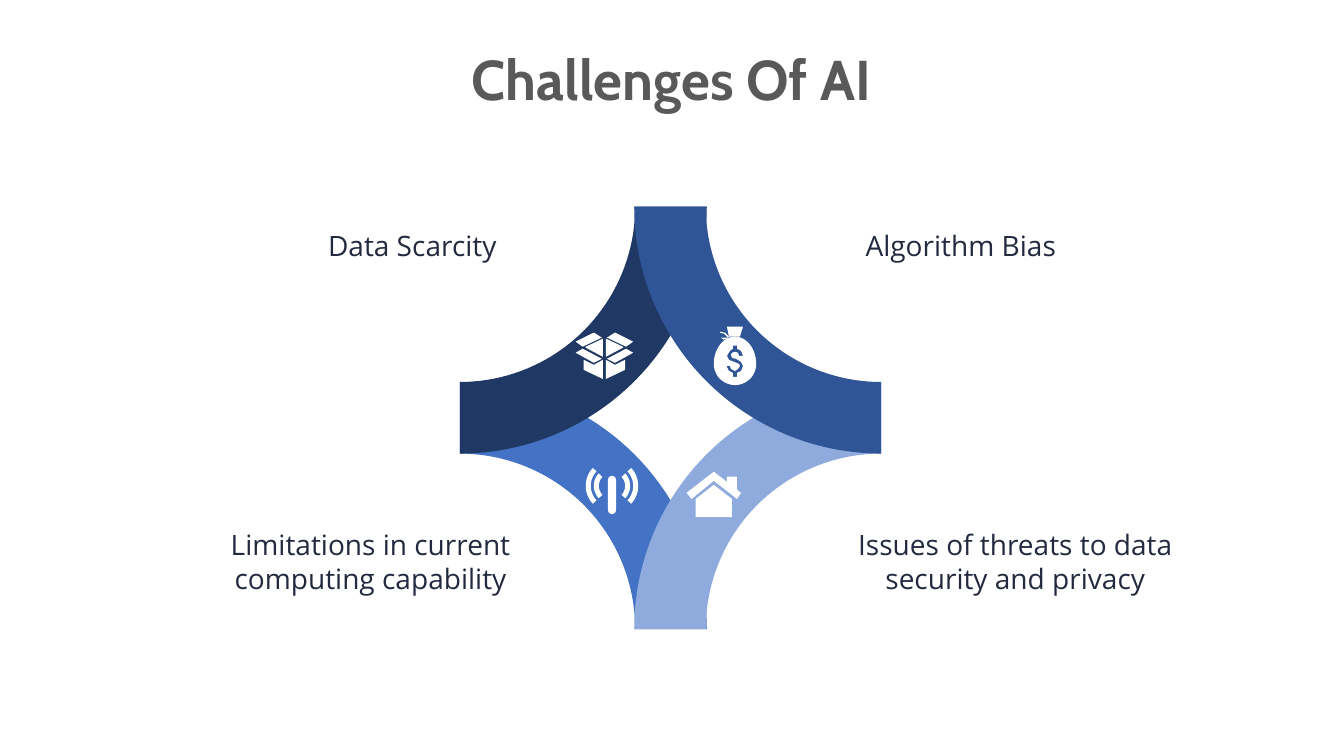
from dataclasses import dataclass
from math import cos, radians, sin

from pptx import Presentation
from pptx import util as u
from pptx.dml.color import RGBColor
from pptx.enum import shapes, text

PX = 9144
Point = tuple[float, float]
Contour = list[Point]


@dataclass(frozen=True)
class Theme:
    title_color: str = "595959"
    label_color: str = "232A3F"
    icon_color: str = "FFFFFF"
    bottom_left: str = "4472C4"
    top_left: str = "203864"
    bottom_right: str = "8FAADC"
    top_right: str = "2F5597"
    title_font: str = "Cabin"
    label_font: str = "Open Sans"
    title_size: int = 40
    label_size: int = 20


@dataclass(frozen=True)
class Arm:
    center: Point
    start: int
    color: str


@dataclass(frozen=True)
class Label:
    words: str
    left: int
    top: int
    width: int


THEME = Theme()
LEFT, RIGHT, TOP, BOTTOM = 456, 874, 205, 624
ARM_INNER, ARM_OUTER = 174, 245

ARMS = [
    Arm((LEFT, BOTTOM), 270, THEME.bottom_left),
    Arm((LEFT, TOP), 0, THEME.top_left),
    Arm((RIGHT, BOTTOM), 180, THEME.bottom_right),
    Arm((RIGHT, TOP), 90, THEME.top_right),
]

LABELS = [
    Label("Data Scarcity", 296, 227, 226),
    Label("Algorithm Bias", 840, 227, 226),
    Label("Limitations in current computing capability", 215, 541, 305),
    Label("Issues of threats to data security and privacy", 831, 541, 352),
]

BOX_MIRROR = 1199
BOX_HALF: list[Contour] = [
    [(601, 336), (601, 354), (618, 345), (618, 344)],
    [(628, 339), (621, 344), (602, 335), (610, 330)],
    [(628, 350), (610, 360), (602, 356), (621, 346)],
    [(601, 357), (601, 376), (620, 367), (620, 357), (610, 362)],
]

BAG_NECK: Contour = [(721, 324), (737, 324), (734, 334), (723, 334)]
BAG_TIE: Contour = [
    (723, 334), (719, 330), (714, 329), (714, 330), (718, 331),
    (722, 335), (715, 335), (718, 337), (721, 336),
]
DOLLAR: Contour = [
    (735, 368), (731, 370), (731, 374), (727, 374), (727, 370), (723, 368),
    (721, 364), (721, 363), (724, 363), (725, 366), (729, 368), (732, 366),
    (734, 363), (733, 361), (728, 359), (723, 357), (721, 353), (724, 348),
    (727, 346), (727, 343), (731, 343), (731, 346), (735, 348), (737, 353),
    (733, 353), (732, 350), (729, 349), (726, 350), (725, 352), (726, 355),
    (730, 356), (735, 359), (737, 363),
]

SIGNAL_CENTER = (607, 482)
WAVES = [(21, 26), (13, 18)]
WAVE_SPREAD = 43

HOUSE: list[Contour] = [
    [(690, 495), (690, 513), (726, 513), (726, 495), (708, 481)],
    [(731, 486), (731, 473), (721, 473), (721, 478), (708, 468),
     (681, 489), (686, 495), (708, 477), (731, 495), (735, 489)],
]


def arc(center: Point, rx: float, ry: float, start: int, end: int) -> Contour:
    steps = 40
    angles = [radians(start + (end - start) * i / steps) for i in range(steps + 1)]
    return [(center[0] + rx * cos(a), center[1] + ry * sin(a)) for a in angles]


def ring(center: Point, inner: int, outer: int, start: int, end: int) -> Contour:
    return arc(center, outer, outer, start, end) + arc(center, inner, inner, end, start)


def paint(shape, color: str) -> None:
    shape.shadow.inherit = False
    shape.fill.solid()
    shape.fill.fore_color.rgb = RGBColor.from_string(color)
    shape.line.fill.background()


def draw_outline(group, contours: list[Contour], color: str) -> None:
    scaled = [[(round(x * PX), round(y * PX)) for x, y in c] for c in contours]
    builder = group.shapes.build_freeform(*scaled[0][0])
    for index, contour in enumerate(scaled):
        if index:
            builder.move_to(*contour[0])
        builder.add_line_segments(contour[1:], close=True)
    paint(builder.convert_to_shape(), color)


def add_text(page, words: str, *, left: int, top: int, width: int, height: int,
             font: str, size: int, color: str, bold: bool = False,
             spacing: float = 1.0) -> None:
    box = page.shapes.add_textbox(*(n * PX for n in (left, top, width, height)))
    frame = box.text_frame
    frame.word_wrap = True
    frame.vertical_anchor = text.MSO_ANCHOR.MIDDLE
    frame.margin_left = frame.margin_right = frame.margin_top = frame.margin_bottom = 0
    para = frame.paragraphs[0]
    para.alignment = text.PP_ALIGN.CENTER
    para.line_spacing = spacing
    span = para.add_run()
    span.text = words
    span.font.name = font
    span.font.size = u.Pt(size)
    span.font.bold = bold
    span.font.color.rgb = RGBColor.from_string(color)


def draw_icons(group) -> None:
    mirrored = [[(BOX_MIRROR - x, y) for x, y in c] for c in BOX_HALF]
    bag_center = (729, 361)
    bag = arc(bag_center, 21, 21, 0, 180) + arc(bag_center, 21, 27, 180, 360)
    waves = [
        ring(SIGNAL_CENTER, inner, outer, facing - WAVE_SPREAD, facing + WAVE_SPREAD)
        for inner, outer in WAVES
        for facing in (0, 180)
    ]
    for icon in (BOX_HALF + mirrored, [bag, DOLLAR], [BAG_NECK], [BAG_TIE], waves):
        draw_outline(group, icon, THEME.icon_color)
    mast = group.shapes.add_shape(
        shapes.MSO_SHAPE.ROUNDED_RECTANGLE, *(n * PX for n in (603, 472, 8, 38)))
    mast.adjustments[0] = 0.5
    paint(mast, THEME.icon_color)
    for part in HOUSE:
        draw_outline(group, [part], THEME.icon_color)


def main() -> None:
    deck = Presentation()
    deck.slide_width, deck.slide_height = 1333 * PX, 750 * PX
    page = deck.slides.add_slide(deck.slide_layouts[6])
    add_text(page, "Challenges Of AI", left=166, top=47, width=1000, height=69,
             font=THEME.title_font, size=THEME.title_size,
             color=THEME.title_color, bold=True, spacing=0.9)
    group = page.shapes.add_group_shape()
    for arm in ARMS:
        quarter = ring(arm.center, ARM_INNER, ARM_OUTER, arm.start, arm.start + 90)
        draw_outline(group, [quarter], arm.color)
    draw_icons(group)
    for label in LABELS:
        add_text(page, label.words, left=label.left, top=label.top,
                 width=label.width, height=32, font=THEME.label_font,
                 size=THEME.label_size, color=THEME.label_color)
    deck.save("out.pptx")


if __name__ == "__main__":
    main()
